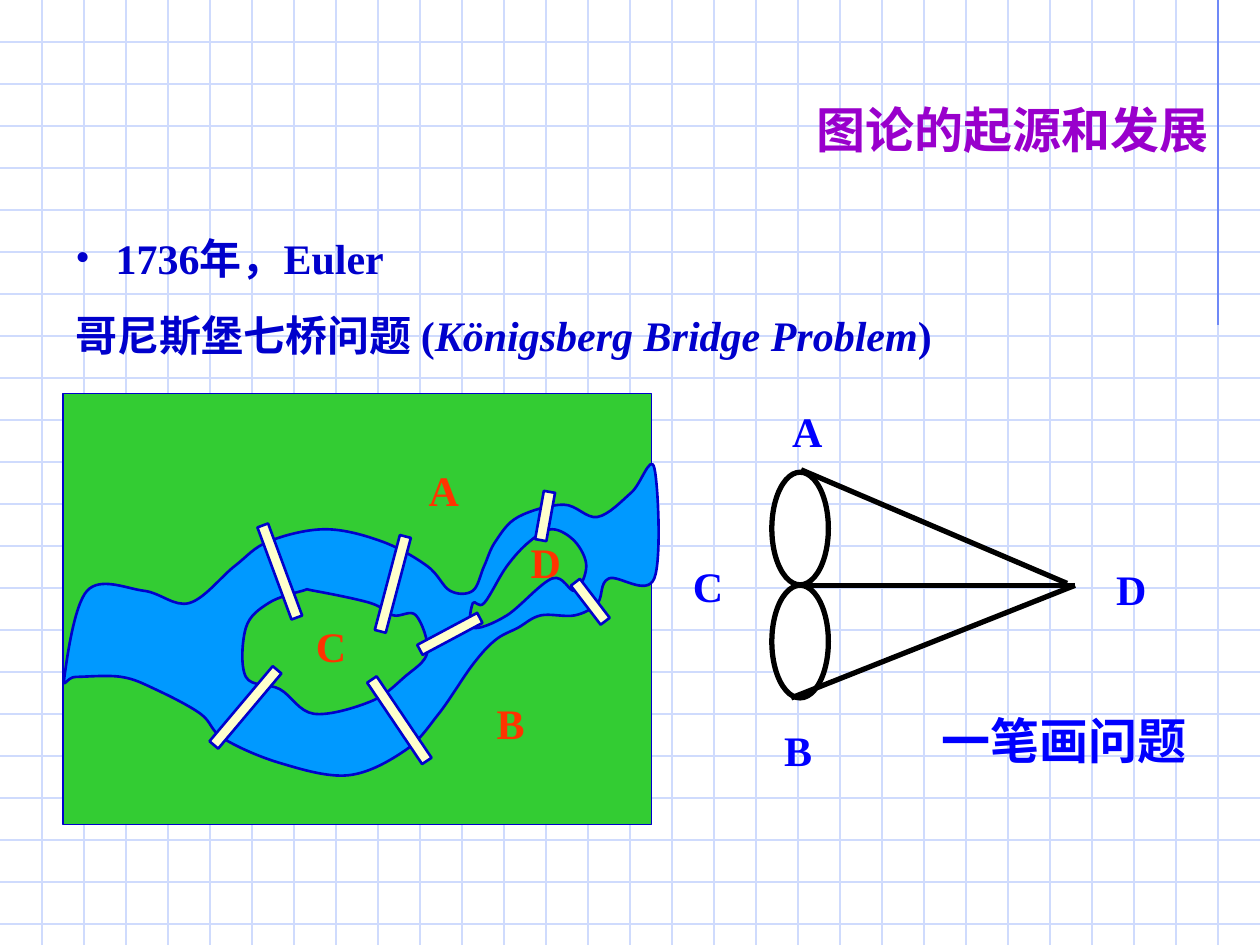
from lxml import etree
from pptx import Presentation
from pptx import util as u
from pptx.dml.color import RGBColor
from pptx.enum import shapes, text
from pptx.oxml.ns import qn

GRID = RGBColor(0xCF, 0xDB, 0xFD)
MARGIN = RGBColor(0x6F, 0x89, 0xF7)
PURPLE = RGBColor(0x99, 0x00, 0xCC)
NAVY = RGBColor(0x00, 0x00, 0xCC)
BLUE = RGBColor(0x00, 0x00, 0xFF)
RED = RGBColor(0xFF, 0x33, 0x00)
GREEN = RGBColor(0x33, 0xCC, 0x33)
WATER = RGBColor(0x00, 0x99, 0xFF)
CREAM = RGBColor(0xFF, 0xFF, 0xCC)
BLACK = RGBColor(0, 0, 0)
WHITE = RGBColor(0xFF, 0xFF, 0xFF)

FONT = "Times New Roman"
WIDTH, HEIGHT = 25.4, 19.05
STEP = WIDTH / 30

# The banks are smooth closed curves whose knots lie on a fine map grid
MAP_X, MAP_Y = 1.3, 9.43
CELL_X, CELL_Y = 11.89 / 52, 6.2 / 25
RIVER = [(2, 10), (7, 10), (11, 11), (15, 8), (18, 6), (23, 5), (28, 6),
         (32, 8), (34, 10), (36, 10), (37, 8), (38, 6), (40, 4), (44, 3),
         (47, 4), (50, 2), (52, 0), (52, 9), (48, 9), (47, 11), (45, 12),
         (42, 12), (40, 13), (38, 14), (36, 16), (33, 20), (30, 23),
         (25, 25), (19, 24), (14, 22), (12, 20), (8, 18), (5, 17),
         (1, 17), (0, 17)]
ISLE_C = [(16, 13), (18, 11), (21, 10), (22, 10), (27, 11), (29, 12),
          (31, 12), (32, 15), (30, 17), (27, 19), (22, 20), (19, 18),
          (16, 17)]
ISLE_D = [(41, 6), (39, 8), (37, 11), (36, 11), (36, 13), (39, 12),
          (43, 9), (45, 10), (46, 8), (45, 6), (43, 5)]

# Centre x, centre y, length, angle
BRIDGES = [(9.07, 12.78, 1.37, 331.9), (11.9, 12.13, 0.99, 232.6),
           (10.99, 10.4, 0.99, 280.2), (7.92, 11.77, 1.98, 284.8),
           (5.64, 11.52, 1.98, 249.7), (8.05, 14.52, 1.98, 56),
           (4.95, 14.26, 1.98, 310.1)]
BANKS = [("B", 9.76, 13.94), ("A", 8.39, 9.23),
         ("C", 6.12, 12.39), ("D", 10.45, 10.69)]
NODES = [("A", 15.72, 8.05), ("B", 15.56, 14.49),
         ("C", 13.72, 11.18), ("D", 22.25, 11.23)]


def paint(shape, fill, line, width):
    shape.shadow.inherit = False
    shape.fill.solid()
    shape.fill.fore_color.rgb = fill
    shape.line.color.rgb = line
    shape.line.width = u.Pt(width)


def add_line(part, x1, y1, x2, y2, color, width=0.75):
    line = part.add_connector(
        shapes.MSO_CONNECTOR.STRAIGHT,
        u.Cm(x1), u.Cm(y1), u.Cm(x2), u.Cm(y2))
    line.line.color.rgb = color
    line.line.width = u.Pt(width)
    etree.SubElement(line._element.spPr, qn("a:effectLst"))


def add_shape(part, kind, x, y, w, h, fill, line, width):
    shape = part.add_shape(kind, u.Cm(x), u.Cm(y), u.Cm(w), u.Cm(h))
    paint(shape, fill, line, width)
    return shape


def bend(shape):
    """Turn the straight sides of a closed outline into Catmull-Rom curves."""
    sides = list(shape._element.iter(qn("a:lnTo")))
    knots = [(int(s[0].get("x")), int(s[0].get("y"))) for s in sides]
    count = len(knots)
    for i, side in enumerate(sides):
        a, b, c, d = (knots[(i + k) % count] for k in (-2, -1, 0, 1))
        curve = etree.Element(qn("a:cubicBezTo"))
        leave = [q + (r - p) / 6 for p, q, r in zip(a, b, c)]
        reach = [q - (r - p) / 6 for p, q, r in zip(b, c, d)]
        for x, y in (leave, reach, c):
            etree.SubElement(curve, qn("a:pt"),
                             x=str(round(x)), y=str(round(y)))
        side.getparent().replace(side, curve)


def add_bank(part, knots, fill):
    points = [(u.Cm(MAP_X + x * CELL_X), u.Cm(MAP_Y + y * CELL_Y))
              for x, y in knots]
    pen = part.build_freeform(*points[0])
    pen.add_line_segments(points[1:] + points[:1], close=True)
    bank = pen.convert_to_shape()
    bend(bank)
    paint(bank, fill, NAVY, 1.5)


def style(run, color, size):
    run.font.name = FONT
    run.font.size = u.Pt(size)
    run.font.bold = True
    run.font.color.rgb = color


def add_text(part, words, x, y, w, h, color, size=24, align=None, wrap=True):
    box = part.add_textbox(u.Cm(x), u.Cm(y), u.Cm(w), u.Cm(h))
    frame = box.text_frame
    frame.word_wrap = wrap
    frame.text = words
    for para in frame.paragraphs:
        para.alignment = align
        for run in para.runs:
            style(run, color, size)
    return frame


def add_bullet(para, indent, color):
    props = para._p.get_or_add_pPr()
    props.set("marL", str(u.Cm(indent)))
    props.set("indent", str(-u.Cm(indent)))
    tint = etree.SubElement(props, qn("a:buClr"))
    etree.SubElement(tint, qn("a:srgbClr"), val=str(color))
    etree.SubElement(props, qn("a:buFont"), typeface=FONT)
    etree.SubElement(props, qn("a:buChar"), char="•")


def add_paper(slide):
    """Rule the squared paper and move it to the slide master."""
    grid = slide.shapes.add_group_shape()
    for i in range(1, 23):
        add_line(grid.shapes, 0, i * STEP, WIDTH, i * STEP, GRID)
    for i in range(1, 30):
        add_line(grid.shapes, i * STEP, 0, i * STEP, HEIGHT, GRID)
    edge = slide.shapes.add_group_shape()
    add_line(edge.shapes, 29 * STEP, 0, 29 * STEP, 6.55, MARGIN)
    tree = slide.slide_layout.slide_master.shapes._spTree
    for group in (grid, edge):
        tree.append(group._element)


def add_intro(part):
    title = add_text(part, "图论的起源和发展", 1.27, 1.88, 23.34, 1.45,
                     PURPLE, 28, text.PP_ALIGN.RIGHT)
    title.paragraphs[0].space_before = u.Pt(17.5)
    body = add_text(part, " 1736年，Euler\n哥尼斯堡七桥问题 (",
                    1.27, 4.56, 20.52, 2.82, NAVY)
    first, second = body.paragraphs
    for para in (first, second):
        para.space_before = u.Pt(15)
    add_bullet(first, 0.6, NAVY)
    for words, slant in (("Königsberg Bridge Problem", True), (")", False)):
        run = second.add_run()
        run.text = words
        style(run, NAVY, 24)
        run.font.italic = slant


def add_map(part):
    rect = shapes.MSO_SHAPE.RECTANGLE
    add_shape(part, rect, 1.27, 7.94, 11.86, 8.69, GREEN, NAVY, 0.75)
    for knots, fill in ((RIVER, WATER), (ISLE_C, GREEN), (ISLE_D, GREEN)):
        add_bank(part, knots, fill)
    thick = 0.23
    for x, y, length, angle in BRIDGES:
        bridge = add_shape(part, rect, x - length / 2, y - thick / 2,
                           length, thick, CREAM, NAVY, 1.5)
        bridge.rotation = angle
    for name, x, y in BANKS:
        add_text(part, name, x, y, 1.12, 1.27, RED, wrap=False)


def add_graph(part):
    for y in (9.52, 11.8):
        add_shape(part, shapes.MSO_SHAPE.OVAL, 15.56, y, 1.14, 2.27,
                  WHITE, BLACK, 3)
    for ends in ((15.95, 11.8, 21.67, 11.8), (16.15, 9.47, 21.51, 11.76),
                 (21.67, 11.8, 15.95, 14.07)):
        add_line(part, *ends, BLACK, 3)
    for name, x, y in NODES:
        add_text(part, name, x, y, 2.5, 1.37, BLUE,
                 align=text.PP_ALIGN.JUSTIFY)


def main():
    deck = Presentation()
    deck.slide_width, deck.slide_height = u.Cm(WIDTH), u.Cm(HEIGHT)
    slide = deck.slides.add_slide(deck.slide_layouts[6])
    add_paper(slide)
    add_intro(slide.shapes)
    add_map(slide.shapes.add_group_shape().shapes)
    add_graph(slide.shapes.add_group_shape().shapes)
    add_text(slide.shapes, "一笔画问题", 18.27, 14.2, 6.35, 1.45, BLUE, 28,
             text.PP_ALIGN.CENTER)
    deck.save("out.pptx")


if __name__ == "__main__":
    main()
